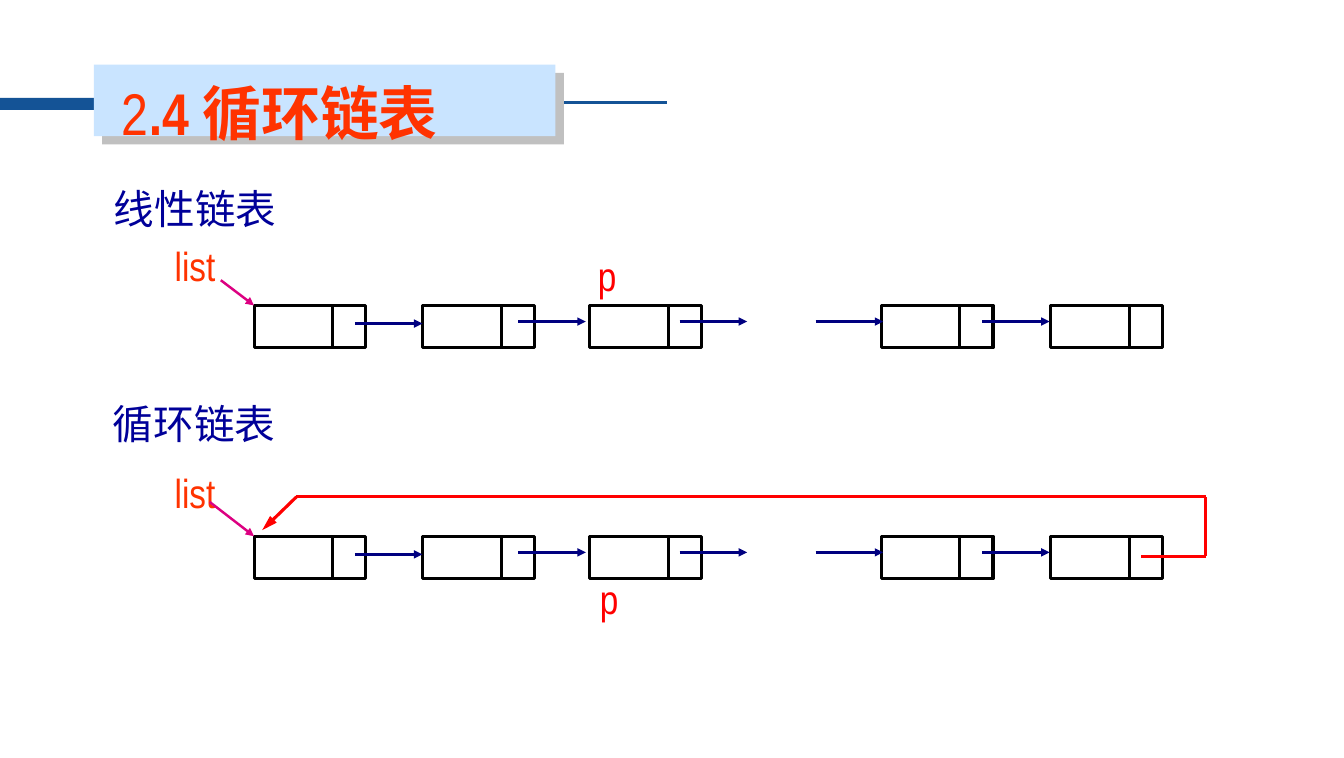
"""Build the slide comparing a linear linked list with a circular one."""
from lxml import etree
from pptx import Presentation
from pptx.dml.color import RGBColor
from pptx.enum.shapes import MSO_CONNECTOR, MSO_SHAPE
from pptx.enum.text import MSO_AUTO_SIZE, PP_ALIGN
from pptx.oxml import parse_xml
from pptx.oxml.ns import qn
from pptx.util import Inches, Pt

RECTANGLE = MSO_SHAPE.RECTANGLE
STRAIGHT = MSO_CONNECTOR.STRAIGHT
LEFT, CENTER = PP_ALIGN.LEFT, PP_ALIGN.CENTER
GROW = MSO_AUTO_SIZE.SHAPE_TO_FIT_TEXT
LATIN, CHINESE = "Arial Narrow", "Noto Sans CJK SC"
BAR_BLUE, NAVY, RED, ORANGE = "145396", "000080", "FF0000", "FF3300"

presentation = Presentation()
presentation.slide_width = Inches(13.33)
presentation.slide_height = Inches(7.52)
slide = presentation.slides.add_slide(presentation.slide_layouts[6])
shapes = slide.shapes
color = RGBColor.from_string


def add_line(start, end, line_color, width, head_length=None):
    line = shapes.add_connector(STRAIGHT, *map(Inches, start + end))
    line.line.color.rgb = color(line_color)
    line.line.width = Pt(width)
    if head_length:
        etree.SubElement(line.line._get_or_add_ln(), qn("a:tailEnd"),
                         type="triangle", w="med", len=head_length)
    etree.SubElement(line._element.spPr, qn("a:effectLst"))


def add_label(box, pieces, size, text_color, inset=(0.1, 0.05), wrap=True, align=LEFT, spacing=None):
    frame = shapes.add_textbox(*map(Inches, box)).text_frame
    frame.word_wrap = wrap
    frame.auto_size = GROW
    frame.margin_left = Inches(inset[0])
    frame.margin_right = Inches(min(inset[0], 0.12))
    frame.margin_top = frame.margin_bottom = Inches(inset[1])
    paragraph = frame.paragraphs[0]
    paragraph.alignment = align
    paragraph.line_spacing = spacing
    for text, font_name, bold in pieces:
        run = paragraph.add_run()
        run.text = text
        run.font.name = font_name
        run.font.size = Pt(size)
        run.font.bold = bold
        run.font.color.rgb = color(text_color)
        etree.SubElement(run.font._element, qn("a:ea"), typeface=CHINESE)


title_bar = shapes.add_shape(RECTANGLE, Inches(0), Inches(0.97), Inches(3.72), Inches(0.12))
title_bar.shadow.inherit = False
title_bar.fill.solid()
title_bar.fill.fore_color.rgb = color(BAR_BLUE)
title_bar.line.fill.background()
add_line((3.68, 1.02), (6.62, 1.02), BAR_BLUE, 2.25)

title_panel = shapes.add_shape(RECTANGLE, Inches(0.93), Inches(0.64), Inches(4.58), Inches(0.71))
title_panel.shadow.inherit = False
title_panel.fill.solid()
title_panel.fill.fore_color.rgb = color("C9E4FF")
title_panel.line.fill.background()
title_panel._element.spPr.find(qn("a:effectLst")).append(parse_xml(
    '<a:outerShdw xmlns:a="http://schemas.openxmlformats.org/drawingml/2006/main" '
    'dist="107950" dir="2700000" algn="ctr" rotWithShape="0">'
    '<a:srgbClr val="C0C0C0"/></a:outerShdw>'))
add_label((0.98, 0.71, 4.95, 0.81),
          [("2", LATIN, False), (".4 ", LATIN, True), ("循环链表", CHINESE, True)],
          42, ORANGE, inset=(0.23, 0.05))

node_lefts = [2.52, 4.19, 5.85, 8.74, 10.42]
data_width, link_width, node_height = 0.78, 0.33, 0.42
arrow_length = 0.67
later_arrow_starts = [5.14, 6.74, 8.09, 9.74]

lists = [
    ("线性链表", (1.01, 1.84), 3.03, 2.34, (2.19, 2.78), (5.81, 2.43)),
    ("循环链表", (1.0, 3.97), 5.32, 4.59, (2.08, 4.98), (5.83, 5.63)),
]
for heading, heading_at, node_top, list_top, pointer_start, p_at in lists:
    add_label((*heading_at, 2.65, 0.54), [(heading, LATIN, False)], 29, "000099",
              inset=(0.12, 0.06), spacing=0.85)
    for node_left in node_lefts:
        for left, width in ((node_left, data_width), (node_left + data_width, link_width)):
            cell = shapes.add_shape(RECTANGLE, Inches(left), Inches(node_top),
                                    Inches(width), Inches(node_height))
            cell.shadow.inherit = False
            cell.fill.background()
            cell.line.color.rgb = color("000000")
            cell.line.width = Pt(2.25)
    arrows = [(3.52, node_top + 0.18)] + [(x, node_top + 0.16) for x in later_arrow_starts]
    for x, y in arrows:
        add_line((x, y), (x + arrow_length, y), NAVY, 2, "med")
    add_label((1.63, list_top, 0.61, 0.59), [("list", LATIN, False)], 29, ORANGE,
              wrap=False, align=CENTER)
    add_line(pointer_start, (node_lefts[0], node_top), "DC0081", 1.75, "med")
    add_label((*p_at, 0.54, 0.61), [("p", LATIN, False)], 29, RED, inset=(0.12, 0.06))

return_path = [(11.32, 5.52), (11.96, 5.52), (11.96, 4.93), (2.94, 4.93), (2.6, 5.26)]
return_heads = [None, None, None, "lg"]
for start, end, head in zip(return_path, return_path[1:], return_heads):
    add_line(start, end, RED, 2.25, head)

presentation.save("out.pptx")
